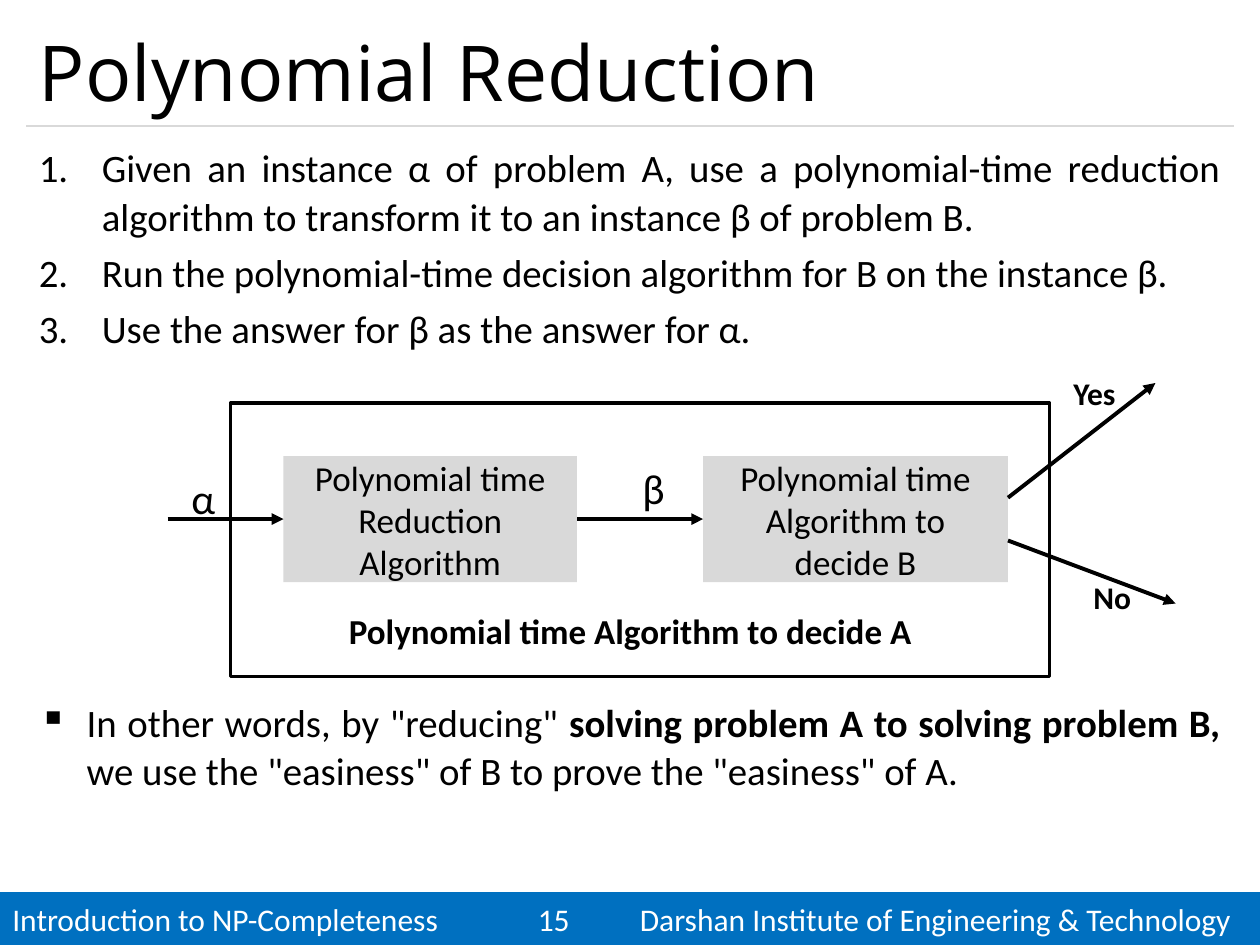
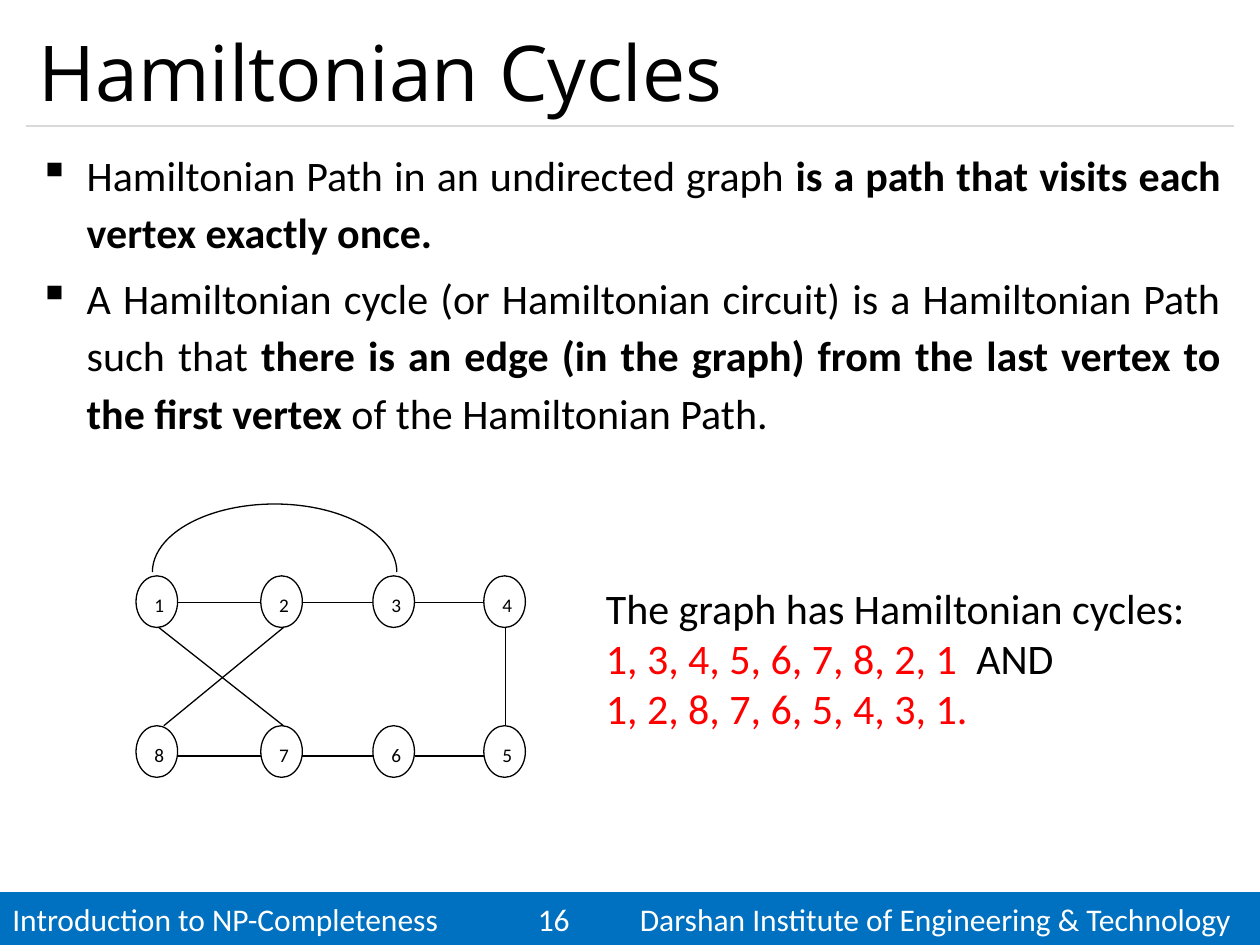
"""Build two algorithm slides: polynomial reduction and Hamiltonian cycles."""
from lxml import etree
from pptx import Presentation
from pptx.dml.color import RGBColor
from pptx.enum.shapes import MSO_CONNECTOR, MSO_SHAPE
from pptx.enum.text import MSO_ANCHOR, PP_ALIGN
from pptx.oxml.ns import qn
from pptx.util import Inches, Pt

RECT, OVAL, ARC = MSO_SHAPE.RECTANGLE, MSO_SHAPE.OVAL, MSO_SHAPE.ARC
STRAIGHT = MSO_CONNECTOR.STRAIGHT
TOP, MIDDLE = MSO_ANCHOR.TOP, MSO_ANCHOR.MIDDLE
LEFT, CENTER, JUSTIFY = PP_ALIGN.LEFT, PP_ALIGN.CENTER, PP_ALIGN.JUSTIFY


class Theme:
    ink = RGBColor(0x00, 0x00, 0x00)
    paper = RGBColor(0xFF, 0xFF, 0xFF)
    band = RGBColor(0x00, 0x70, 0xC0)
    gray = RGBColor(0xD9, 0xD9, 0xD9)
    red = RGBColor(0xFF, 0x00, 0x00)
    body_font, title_font = "Calibri", "Open Sans"
    title, large, steps, block, small, node = 44, 24, 22.2, 20, 18, 11
    thin, frame, arrow = 0.75, 2, 2.25


def add_text(shapes, box, paras, kind=None, fill=None, line=None, width=Theme.thin,
             size=Theme.large, font=Theme.body_font, color=Theme.ink, bold=False,
             align=LEFT, anchor=TOP, inset=0.1, spacing=None, before=0, after=0,
             bullet=None, hang=0, tabs=()):
    """Add a text box or preset shape; each paragraph is a list of (text, bold, color) runs."""
    at = [Inches(v) for v in box]
    if kind is None:
        sp = shapes.add_textbox(*at)
    else:
        sp = shapes.add_shape(kind, *at)
        sp.shadow.inherit = False
        if fill is None:
            sp.fill.background()
        else:
            sp.fill.solid()
            sp.fill.fore_color.rgb = fill
        if line is None:
            sp.line.fill.background()
        else:
            sp.line.color.rgb = line
            sp.line.width = Pt(width)
    tf = sp.text_frame
    tf.word_wrap = True
    tf.vertical_anchor = anchor
    tf.margin_left = tf.margin_right = Inches(inset)
    if isinstance(paras, str):
        paras = [[(paras, bold, color)]] if paras else []
    for i, runs in enumerate(paras):
        p = tf.add_paragraph() if i else tf.paragraphs[0]
        pPr = p._p.get_or_add_pPr()
        if bullet:
            pPr.set("marL", str(Inches(hang)))
            pPr.set("indent", str(-Inches(hang)))
            if bullet == "1.":
                etree.SubElement(pPr, qn("a:buAutoNum"), type="arabicPeriod")
            else:
                etree.SubElement(pPr, qn("a:buChar"), char=bullet)
        if tabs:
            stops = etree.SubElement(pPr, qn("a:tabLst"))
            for pos in tabs:
                etree.SubElement(stops, qn("a:tab"), pos=str(Inches(pos)), algn="l")
        p.alignment = align
        p.space_before = Pt(before if i else 0)
        p.space_after = Pt(after)
        if spacing:
            p.line_spacing = spacing
        for text, run_bold, run_color in runs:
            r = p.add_run()
            r.text = text
            r.font.name, r.font.size = font, Pt(size)
            r.font.bold, r.font.color.rgb = run_bold, run_color
    return sp


def add_line(shapes, start, end, color=Theme.ink, width=Theme.thin, arrow=False):
    """Add a straight line, with an arrowhead at its end on request."""
    cx = shapes.add_connector(STRAIGHT, *[Inches(v) for v in (*start, *end)])
    cx.line.color.rgb = color
    cx.line.width = Pt(width)
    spPr = cx._element.spPr
    if arrow:
        etree.SubElement(spPr.find(qn("a:ln")), qn("a:tailEnd"), type="triangle")
    etree.SubElement(spPr, qn("a:effectLst"))


prs = Presentation()
prs.slide_width, prs.slide_height = Inches(10), Inches(7.5)

slides = []
for number, title in ((15, "Polynomial Reduction"), (16, "Hamiltonian Cycles")):
    s = prs.slides.add_slide(prs.slide_layouts[6])
    footer = f"Introduction to NP-Completeness\t{number}\tDarshan Institute of Engineering & Technology"
    add_text(s.shapes, (0, 7.08, 10, 0.42), footer, kind=RECT, fill=Theme.band,
             size=Theme.small, color=Theme.paper, anchor=MIDDLE, tabs=(4.17, 4.98))
    add_line(s.shapes, (0.21, 1), (9.79, 1), color=Theme.gray)
    add_text(s.shapes, (0.21, 0.12, 9.58, 0.88), title, size=Theme.title,
             font=Theme.title_font, anchor=MIDDLE)
    slides.append(s)
reduction, cycles = [s.shapes for s in slides]

steps = ["Given an instance α of problem A, use a polynomial-time reduction algorithm "
         "to transform it to an instance β of problem B.",
         "Run the polynomial-time decision algorithm for B on the instance β.",
         "Use the answer for β as the answer for α."]
add_text(reduction, (0.21, 1.08, 9.58, 1.9), [[(step, False, Theme.ink)] for step in steps],
         size=Theme.steps, align=JUSTIFY, spacing=1.04, before=4.4, bullet="1.", hang=0.5)
summary = [[('In other words, by "reducing" ', False, Theme.ink),
            ("solving problem A to solving problem B, ", True, Theme.ink),
            ('we use the "easiness" of B to prove the "easiness" of A.', False, Theme.ink)]]
add_text(reduction, (0.21, 5.48, 9.58, 0.95), summary, size=Theme.steps, align=JUSTIFY,
         spacing=1.04, bullet="▪", hang=0.38)

add_text(reduction, (1.83, 3.2, 6.5, 2.17), "", kind=RECT, line=Theme.ink, width=Theme.frame)
for left, width, label in ((2.25, 2.33, "Polynomial time Reduction Algorithm"),
                           (5.58, 2.42, "Polynomial time Algorithm to decide B")):
    add_text(reduction, (left, 3.62, width, 1), label, kind=RECT, fill=Theme.gray,
             size=Theme.block, align=CENTER, anchor=MIDDLE, inset=0.12)
for start, end in (((4.58, 4.12), (5.58, 4.12)), ((1.33, 4.12), (2.25, 4.12)),
                   ((8, 3.95), (9.17, 3.04)), ((8, 4.29), (9.33, 4.79))):
    add_line(reduction, start, end, width=Theme.arrow, arrow=True)
for box, label, size, bold in (
        ((1.42, 3.7, 0.33, 0.5), "α", Theme.large, False),
        ((5, 3.62, 0.25, 0.5), "β", Theme.large, False),
        ((8.42, 2.92, 0.58, 0.4), "Yes", Theme.small, True),
        ((8.58, 4.54, 0.58, 0.4), "No", Theme.small, True),
        ((2.67, 4.79, 4.79, 0.44), "Polynomial time Algorithm to decide A", Theme.block, True)):
    add_text(reduction, box, label, size=size, bold=bold)

definitions = [
    [("Hamiltonian Path in an undirected graph ", False, Theme.ink),
     ("is a path that visits each vertex exactly once.", True, Theme.ink)],
    [("A Hamiltonian cycle (or Hamiltonian circuit) is a Hamiltonian Path such that ",
      False, Theme.ink),
     ("there is an edge (in the graph) from the last vertex to the first vertex ",
      True, Theme.ink),
     ("of the Hamiltonian Path.", False, Theme.ink)]]
add_text(cycles, (0.21, 1.08, 9.58, 2.6), definitions, align=JUSTIFY, spacing=1.14,
         before=4.8, bullet="▪", hang=0.38)

graph = cycles.add_group_shape().shapes
columns = (1.08, 2.07, 2.96, 3.84)
node_w, node_h = 0.33, 0.41
for top, edge_y, labels in ((4.57, 4.78, "1234"), (5.76, 6, "8765")):
    for left, label in zip(columns, labels):
        add_text(graph, (left, top, node_w, node_h), label, kind=OVAL, fill=Theme.paper,
                 line=Theme.ink, size=Theme.node, spacing=1.15, after=10)
    for left, right in zip(columns, columns[1:]):
        add_line(graph, (left + node_w, edge_y), (right, edge_y))
for x1, x2 in ((4.01, 4.01), (1.26, 2.25), (2.25, 1.3)):
    add_line(graph, (x1, 4.98), (x2, 5.76))
arc = add_text(graph, (1.21, 4, 1.94, 1.08), "", kind=ARC, line=Theme.ink)
arc.adjustments[0], arc.adjustments[1] = 108, 0

answer = [[("The graph has Hamiltonian cycles:", False, Theme.ink)],
          [("1, 3, 4, 5, 6, 7, 8, 2, 1\t", False, Theme.red), ("AND", False, Theme.ink)],
          [("1, 2, 8, 7, 6, 5, 4, 3, 1.", False, Theme.red)]]
add_text(cycles, (4.71, 4.57, 5, 1.31), answer, tabs=(2.94,))

prs.save("out.pptx")
